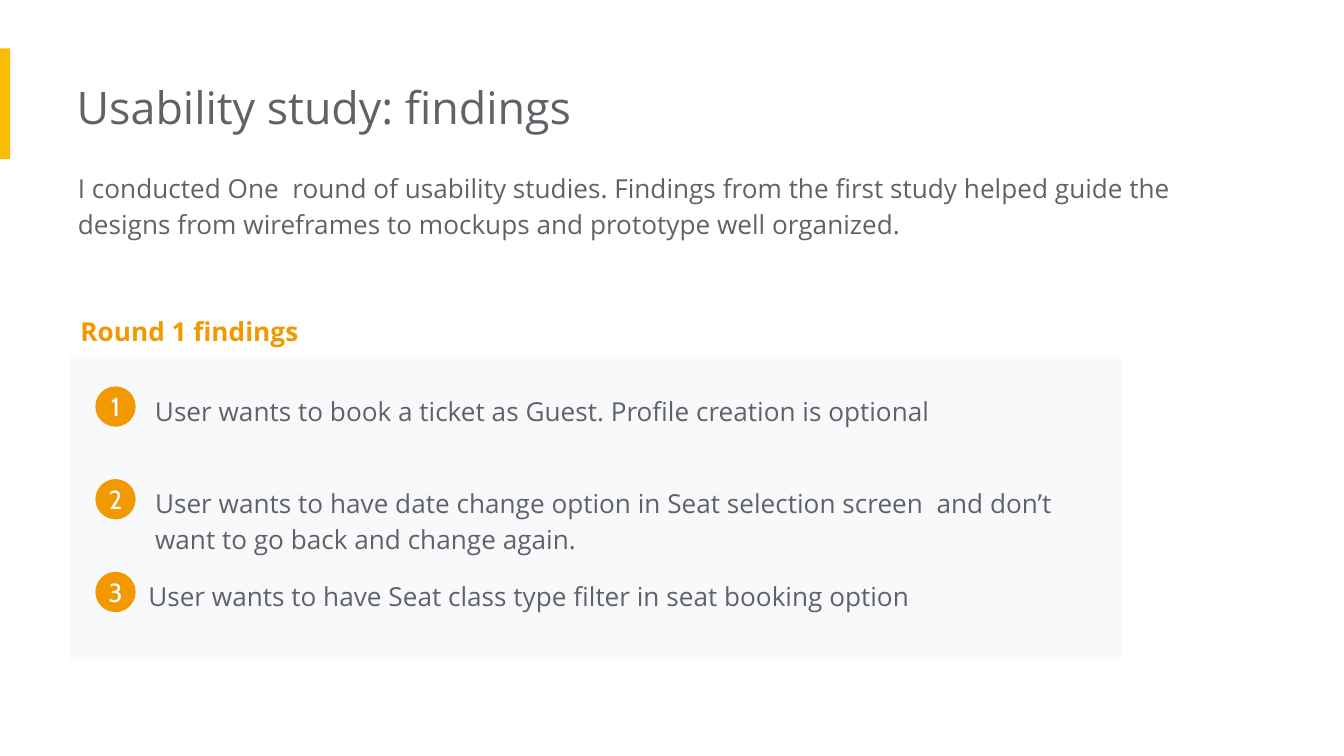
from typing import NamedTuple

from pptx import Presentation, util as u
from pptx.dml.color import RGBColor
from pptx.enum import shapes, text
from pptx.oxml.ns import qn

PX = 4572  # 200 px to the inch
GREY = RGBColor(0x5F, 0x63, 0x68)
ORANGE = RGBColor(0xF2, 0x99, 0x00)
YELLOW = RGBColor(0xFB, 0xBC, 0x04)
PALE = RGBColor(0xF8, 0xF9, 0xFA)
WHITE = RGBColor(0xFF, 0xFF, 0xFF)


class Box(NamedTuple):
    left: int
    top: int
    width: int
    height: int

    def emu(self) -> list[int]:
        return [side * PX for side in self]


class Finding(NamedTuple):
    words: str
    left: int
    width: int
    height: int


TOP, STEP, DISC = 561, 138, 60
FINDINGS = [
    Finding("User wants to book a ticket as Guest. Profile creation is optional",
            211, 1306, 94),
    Finding("User wants to have date change option in Seat selection screen  "
            "and don’t want to go back and change again.", 211, 1458, 148),
    Finding("User wants to have Seat class type filter in seat booking option",
            201, 1408, 94),
]


def write(shape, words: str, size: int = 14, color: RGBColor = GREY,
          face: str = "Open Sans", bold: bool = False, inset: int = 20,
          left: int = 20, space: float = 1.15,
          align=text.PP_ALIGN.LEFT, anchor=text.MSO_ANCHOR.TOP) -> None:
    frame = shape.text_frame
    frame.text = words
    frame.word_wrap = True
    frame.auto_size = text.MSO_AUTO_SIZE.NONE
    frame.vertical_anchor = anchor
    frame.margin_left = left * PX
    frame.margin_right = frame.margin_top = frame.margin_bottom = inset * PX
    para = frame.paragraphs[0]
    para.alignment = align
    para.line_spacing = space
    para.space_before = u.Pt(0)
    font = para.runs[0].font
    font.name, font.size, font.bold = face, u.Pt(size), bold
    font.color.rgb = color


def place(shape, box: Box) -> None:
    shape.left, shape.top, shape.width, shape.height = box.emu()


def plain(para) -> None:
    """Drop the bullet and indent of the template."""
    props = para._p.get_or_add_pPr()
    props.set("marL", "0")
    props.set("indent", "0")
    props.append(props.makeelement(qn("a:buNone"), {}))


def label(slide, box: Box, words: str, **style) -> None:
    write(slide.shapes.add_textbox(*box.emu()), words, **style)


def block(slide, kind, box: Box, fill: RGBColor):
    shape = slide.shapes.add_shape(kind, *box.emu())
    shape.shadow.inherit = False
    shape.fill.solid()
    shape.fill.fore_color.rgb = fill
    shape.line.fill.background()
    return shape


def badge(slide, num: int, top: int) -> None:
    disc = block(slide, shapes.MSO_SHAPE.OVAL, Box(142, top, DISC, DISC), ORANGE)
    write(disc, str(num), color=WHITE, face="Cabin", inset=0, left=0, space=1,
          align=text.PP_ALIGN.CENTER, anchor=text.MSO_ANCHOR.MIDDLE)


def main() -> None:
    deck = Presentation()
    deck.slide_width, deck.slide_height = 2000 * PX, 1125 * PX
    slide = deck.slides.add_slide(deck.slide_layouts[1])
    title, intro = slide.placeholders

    # Accent bar and title
    block(slide, shapes.MSO_SHAPE.RECTANGLE, Box(0, 72, 15, 165), YELLOW)
    place(title, Box(114, 98, 1346, 122))
    write(title, "Usability study: findings", size=24, left=0, space=1)

    # Intro
    place(intro, Box(116, 230, 1722, 148))
    write(intro, "I conducted One  round of usability studies. Findings from the "
          "first study helped guide the designs from wireframes to mockups and "
          "prototype well organized.", left=0)
    plain(intro.text_frame.paragraphs[0])

    # Findings panel
    label(slide, Box(100, 442, 730, 88), "Round 1 findings",
          color=ORANGE, bold=True)
    block(slide, shapes.MSO_SHAPE.RECTANGLE, Box(104, 530, 1565, 452), PALE)
    for row, item in enumerate(FINDINGS):
        top = TOP + row * STEP
        label(slide, Box(item.left, top, item.width, item.height), item.words)
        badge(slide, row + 1, top + 14)

    deck.save("out.pptx")


if __name__ == "__main__":
    main()
